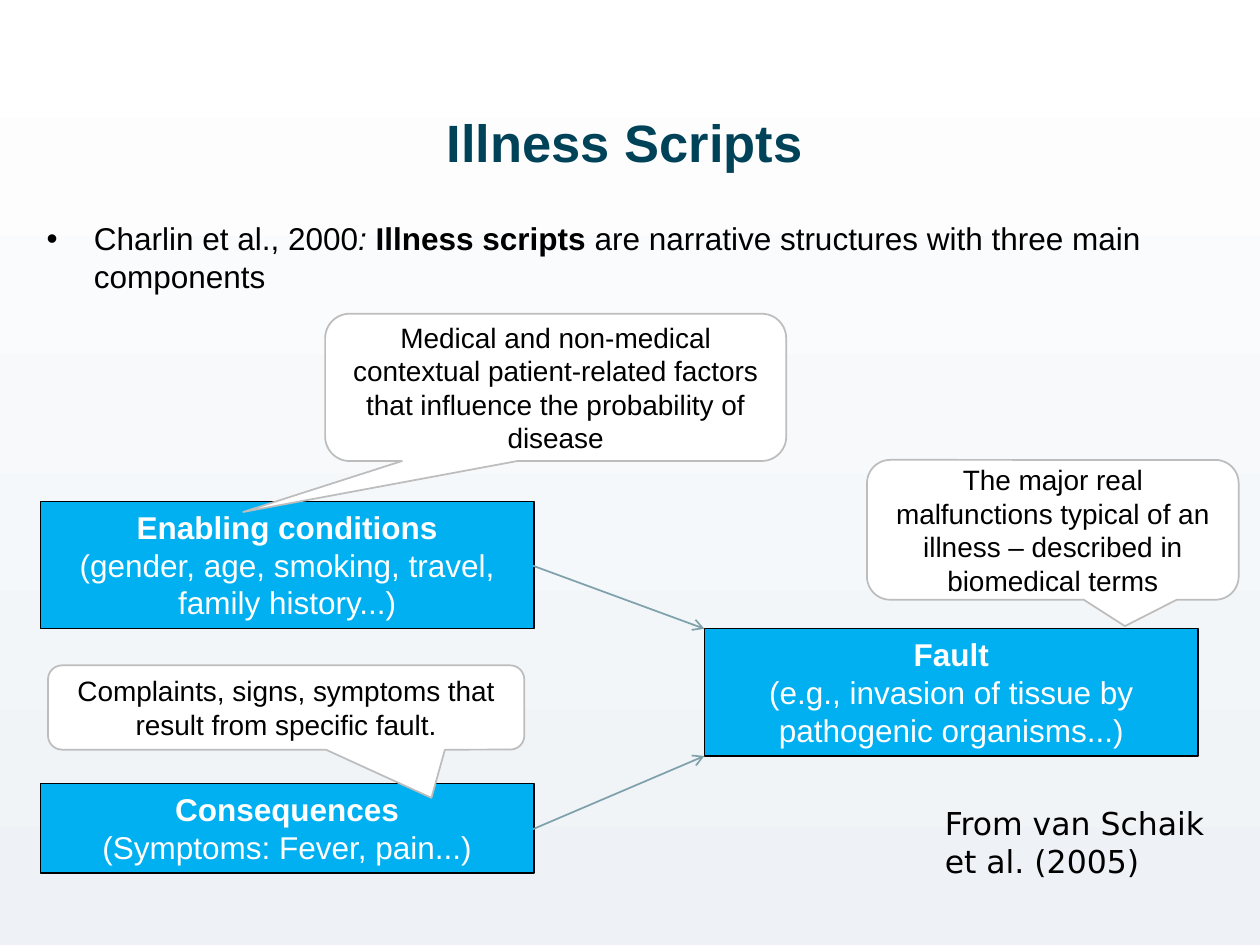
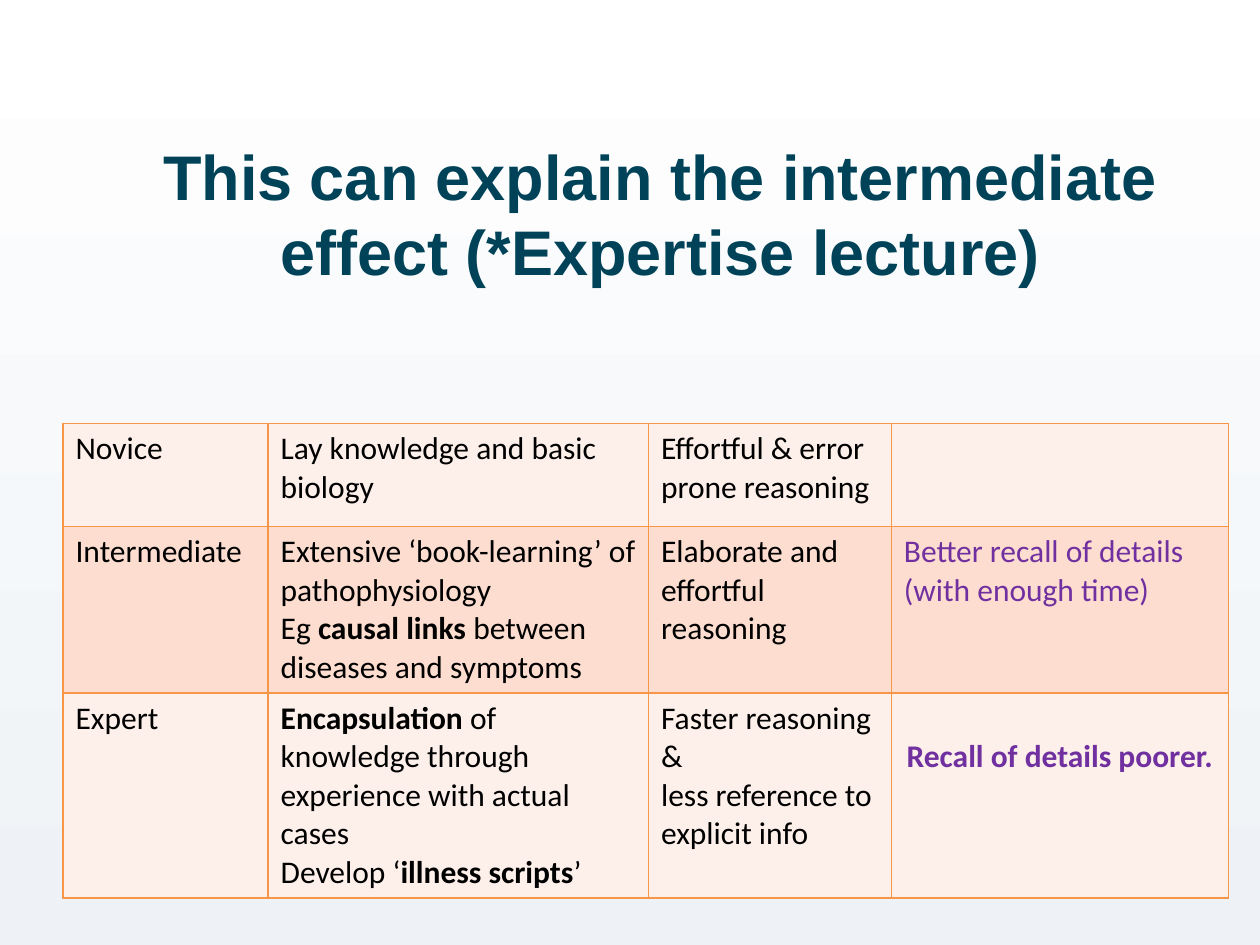
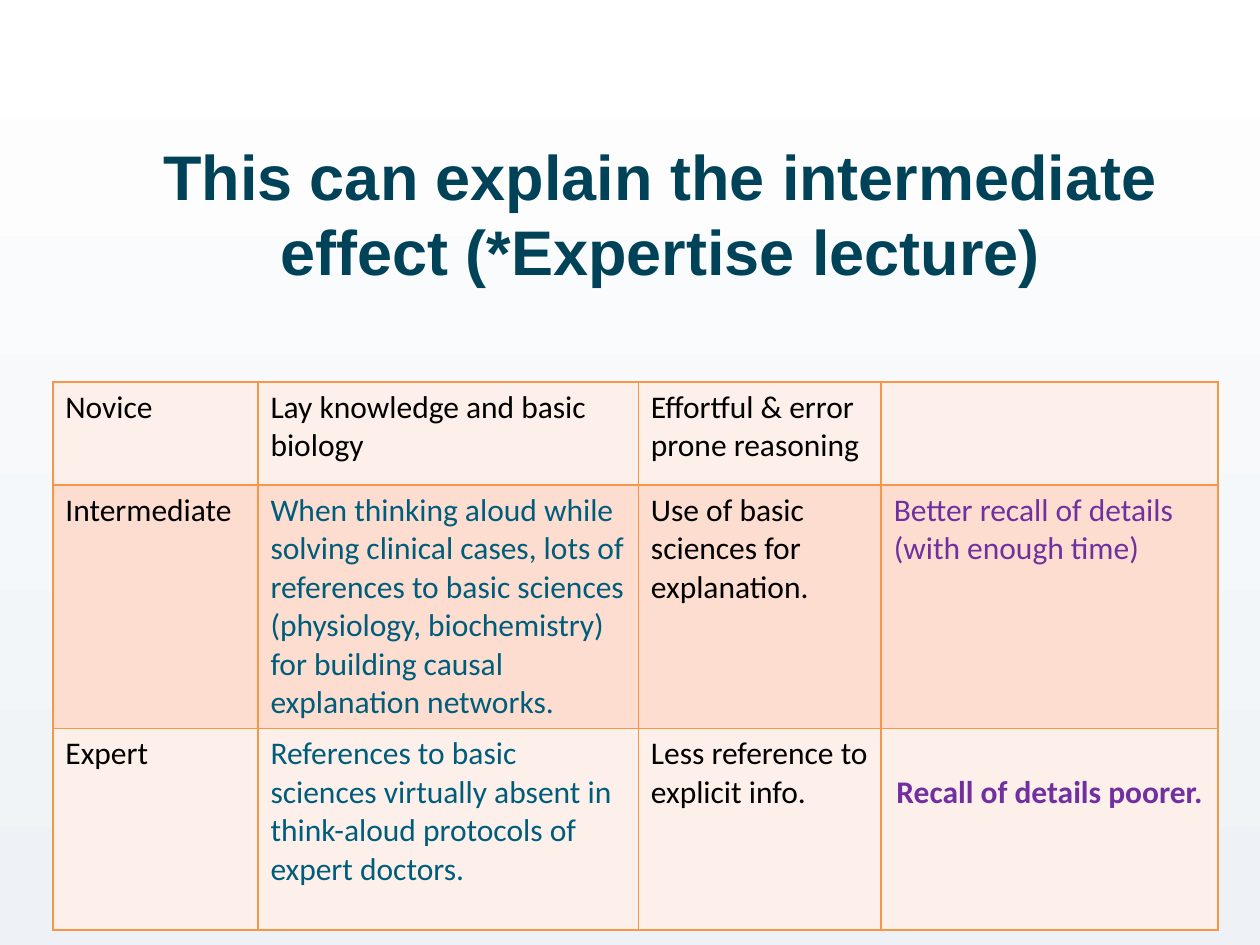
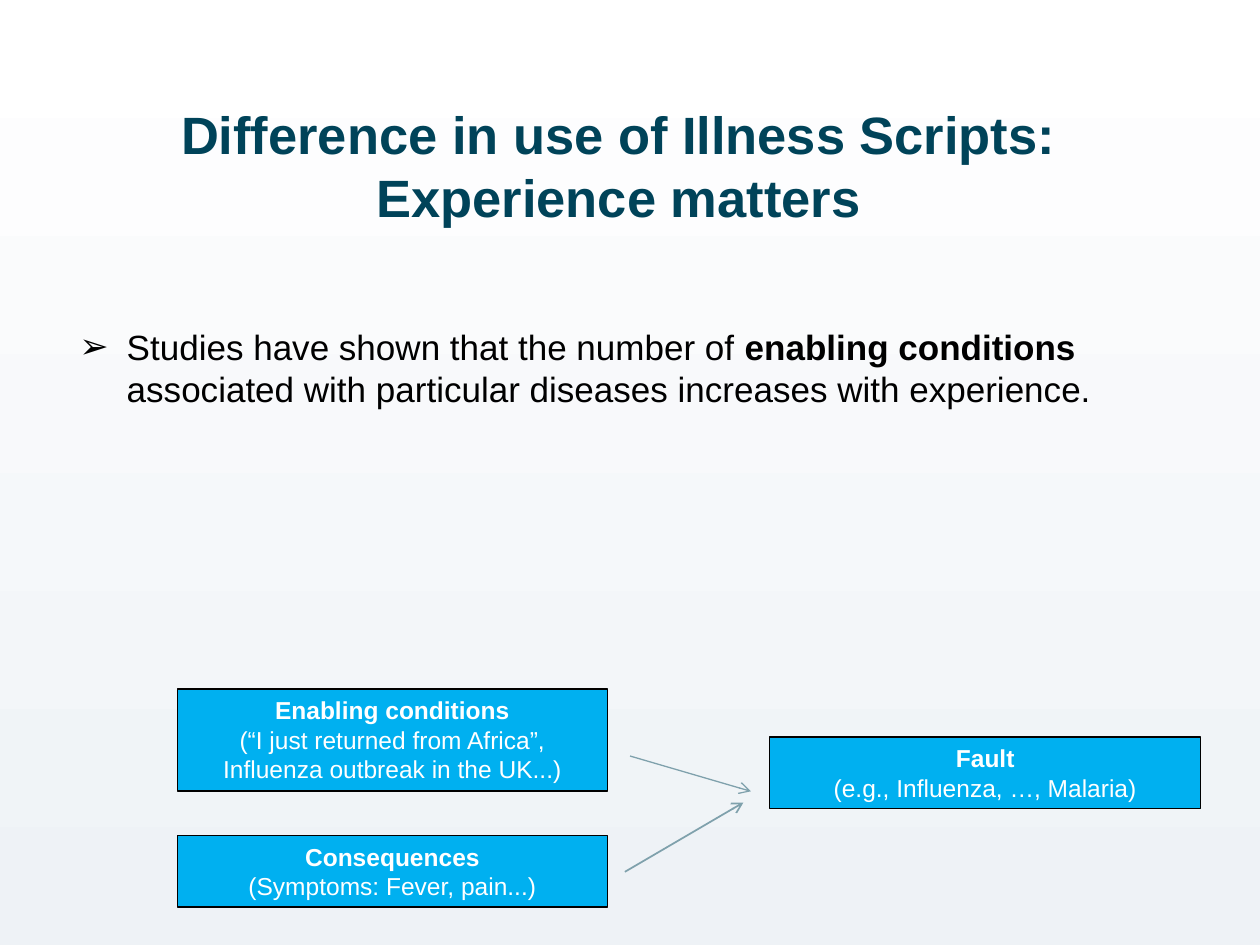
from pptx import Presentation
from pptx import util as u
from pptx.dml import color
from pptx.enum import shapes, text
from pptx.oxml import parse_xml
from pptx.oxml.ns import nsdecls, qn

NAVY, BLACK, WHITE = "004359", "000000", "FFFFFF"
SKY, STEEL, GREY = "00B0F0", "7FA1AC", "BDBDBD"
TEAL, PURPLE, ORANGE = "005C7B", "7030A0", "F79646"
PALE, PEACH = "FDEFE9", "FCDDCF"

rgb = color.RGBColor.from_string


def write(frame, content, size, hue=BLACK, face="Arial", align=text.PP_ALIGN.LEFT):
    """Each line is a paragraph, "|" splits runs, a leading "*" is bold and "/" italic."""
    frame.word_wrap = True
    frame.vertical_anchor = text.MSO_ANCHOR.TOP
    for index, line in enumerate(content.split("\n")):
        para = frame.add_paragraph() if index else frame.paragraphs[0]
        para.alignment = align
        for piece in line.split("|"):
            span = para.add_run()
            span.text = piece.lstrip("*/")
            span.font.size = u.Pt(size)
            span.font.name = face
            span.font.color.rgb = rgb(hue)
            span.font.bold = piece.startswith("*")
            span.font.italic = piece.startswith("/")


def place(box, left, top, width, height):
    box.left, box.top = u.Pt(left), u.Pt(top)
    box.width, box.height = u.Pt(width), u.Pt(height)


deck = Presentation()
deck.slide_width, deck.slide_height = u.Pt(720), u.Pt(540)
backdrop = deck.slide_master.background.fill
backdrop.gradient()
backdrop.gradient_angle = 270
for stop, hue in zip(backdrop.gradient_stops, (WHITE, "EEF2F6")):
    stop.color.rgb = rgb(hue)

CENTER = text.PP_ALIGN.CENTER
WITH_LIST, TITLE_ONLY = deck.slide_layouts[1], deck.slide_layouts[5]
EFFECT = "*This can explain the intermediate effect (*Expertise lecture)"
pages = []
for layout, heading, size, left, top in [
    (WITH_LIST, "*Illness Scripts", 30, 23, 59),
    (TITLE_ONLY, EFFECT, 36, 43.2, 74.9),
    (TITLE_ONLY, EFFECT, 36, 43.2, 74.9),
    (WITH_LIST, "*Difference in use of Illness Scripts: Experience matters", 30, 19.4, 54.7),
]:
    page = deck.slides.add_slide(layout)
    place(page.shapes.title, left, top, 668.2, 102.2)
    write(page.shapes.title.text_frame, heading, size, NAVY, align=CENTER)
    page.shapes.title.text_frame.auto_size = text.MSO_AUTO_SIZE.NONE
    pages.append(page)
scripts, learning, thinking, experience = pages

for page, area, size, bullet, content in [
    (scripts, (19.4, 121.7, 689.8, 385.2), 18, "•",
     "Charlin et al., 2000|/: |*Illness scripts |are narrative structures with three main components"),
    (experience, (38.2, 182.2, 632.2, 295.2), 20, "➢",
     "Studies have shown that the number of |*enabling conditions |"
     "associated with particular diseases increases with experience."),
]:
    body = page.placeholders[1]
    place(body, *area)
    write(body.text_frame, content, size)
    body.text_frame.auto_size = text.MSO_AUTO_SIZE.NONE
    properties = body.text_frame.paragraphs[0]._p.get_or_add_pPr()
    properties.append(parse_xml(f'<a:buFont {nsdecls("a")} typeface="Arial"/>'))
    properties.append(parse_xml(f'<a:buChar {nsdecls("a")} char="{bullet}"/>'))

for page, size, area, content in [
    (scripts, 18, (23, 286.6, 282.2, 72.7),
     "*Enabling conditions\n(gender, age, smoking, travel, family history...)"),
    (scripts, 18, (23, 447.8, 282.2, 51.1), "*Consequences\n(Symptoms: Fever, pain...)"),
    (scripts, 18, (402.5, 359.3, 282.2, 72.7),
     "*Fault\n(e.g., invasion of tissue by pathogenic organisms...)"),
    (experience, 14, (101.5, 393.8, 245.5, 58.3),
     "*Enabling conditions\n(“I just returned from Africa”, Influenza outbreak in the UK...)"),
    (experience, 14, (101.5, 477.4, 245.5, 41), "*Consequences\n(Symptoms: Fever, pain...)"),
    (experience, 14, (439.9, 421.2, 246.2, 41), "*Fault\n(e.g., Influenza, …, Malaria)"),
]:
    box = page.shapes.add_shape(shapes.MSO_SHAPE.RECTANGLE, *map(u.Pt, area))
    box.shadow.inherit = False
    box.fill.solid()
    box.fill.fore_color.rgb = rgb(SKY)
    box.line.color.rgb = rgb(BLACK)
    box.line.width = u.Pt(0.75)
    write(box.text_frame, content, size, WHITE, align=CENTER)
    box.text_frame.auto_size = text.MSO_AUTO_SIZE.SHAPE_TO_FIT_TEXT

for page, ends, weight in [
    (scripts, (304.6, 323.3, 402.5, 359.3), 1),
    (scripts, (304.6, 473.8, 402.5, 432), 1),
    (experience, (360, 432, 429.1, 452.2), 0.75),
    (experience, (357.1, 498.2, 424.8, 458.6), 1),
]:
    arrow = page.shapes.add_connector(shapes.MSO_CONNECTOR.STRAIGHT, *map(u.Pt, ends))
    arrow.line.color.rgb = rgb(STEEL)
    arrow.line.width = u.Pt(weight)
    outline = arrow.line._get_or_add_ln()
    outline.append(parse_xml(f'<a:tailEnd {nsdecls("a")} type="arrow"/>'))
    outline.addnext(parse_xml(f'<a:effectLst {nsdecls("a")}/>'))

for area, pointer, content in [
    ((185.8, 179.3, 263.5, 84.2), (-0.678, 0.846),
     "Medical and non-medical contextual patient-related factors "
     "that influence the probability of disease"),
    ((495.4, 262.8, 212.4, 79.9), (0.194, 0.689),
     "The major real malfunctions typical of an illness – described in biomedical terms"),
    ((27.4, 380.2, 272.2, 48.2), (0.305, 1.072),
     "Complaints, signs, symptoms that result from specific fault."),
]:
    callout = scripts.shapes.add_shape(
        shapes.MSO_SHAPE.ROUNDED_RECTANGULAR_CALLOUT, *map(u.Pt, area))
    callout.adjustments[0], callout.adjustments[1] = pointer
    callout.shadow.inherit = False
    callout.fill.solid()
    callout.fill.fore_color.rgb = rgb(WHITE)
    callout.line.color.rgb = rgb(GREY)
    callout.line.width = u.Pt(1)
    write(callout.text_frame, content, 16, align=CENTER)
    callout.text_frame.vertical_anchor = text.MSO_ANCHOR.MIDDLE

source = scripts.shapes.add_textbox(*map(u.Pt, (532.8, 455.8, 169.9, 51.1)))
write(source.text_frame, "From van Schaik et al. (2005)", 18, face="DejaVu Sans")
source.text_frame.auto_size = text.MSO_AUTO_SIZE.SHAPE_TO_FIT_TEXT

LEVELS = ["Novice", "Intermediate", "Expert"]
RECALL = ["", "Better recall of details (with enough time)", "*Recall of details poorer."]
BASICS, EFFORT = "Lay knowledge and basic biology", "Effortful & error prone reasoning"
for page, left, top, knowledge_hue, knowledge, reasoning in [
    (learning, 36, 241.9, BLACK,
     [BASICS,
      "Extensive ‘book-learning’ of pathophysiology\n"
      "Eg |*causal links |between diseases and symptoms",
      "*Encapsulation| of knowledge through experience with actual cases\n"
      "Develop ‘|*illness scripts|’"],
     [EFFORT, "Elaborate and effortful reasoning",
      "Faster reasoning &\nless reference to explicit info"]),
    (thinking, 30.2, 218.2, TEAL,
     [BASICS,
      "When thinking aloud while solving clinical cases, lots of references to basic sciences "
      "(physiology, biochemistry) for building causal explanation networks.",
      "References to basic sciences virtually absent in think-aloud protocols of expert doctors."],
     [EFFORT, "Use of basic sciences for explanation.", "Less reference to explicit info."]),
]:
    table = page.shapes.add_table(3, 4, *map(u.Pt, (left, top, 666, 267.8))).table
    table.first_row = table.horz_banding = False
    for column, width in zip(table.columns, (117.2, 217.4, 138.8, 192.6)):
        column.width = u.Pt(width)
    for row, height in zip(table.rows, (59, 93.6, 115.2)):
        row.height = u.Pt(height)
    hues = (BLACK, knowledge_hue, BLACK, PURPLE)
    for row, contents in enumerate(zip(LEVELS, knowledge, reasoning, RECALL)):
        for column, content in enumerate(contents):
            cell = table.cell(row, column)
            for side in ("lnL", "lnR", "lnT", "lnB"):
                cell._tc.get_or_add_tcPr().append(parse_xml(
                    f'<a:{side} {nsdecls("a")} w="{u.Pt(1)}"><a:solidFill>'
                    f'<a:srgbClr val="{ORANGE}"/></a:solidFill></a:{side}>'))
            cell.fill.solid()
            cell.fill.fore_color.rgb = rgb(PEACH if row == 1 else PALE)
            if content:
                write(cell.text_frame, content, 18, hues[column] if row else BLACK, "Calibri")
                cell.vertical_anchor = text.MSO_ANCHOR.TOP
                cell._tc.txBody.find(qn("a:bodyPr")).attrib.clear()
    poorer = table.cell(2, 3)
    poorer.margin_top = u.Pt(25.6)
    poorer.text_frame.paragraphs[0].alignment = CENTER

deck.save("out.pptx")
